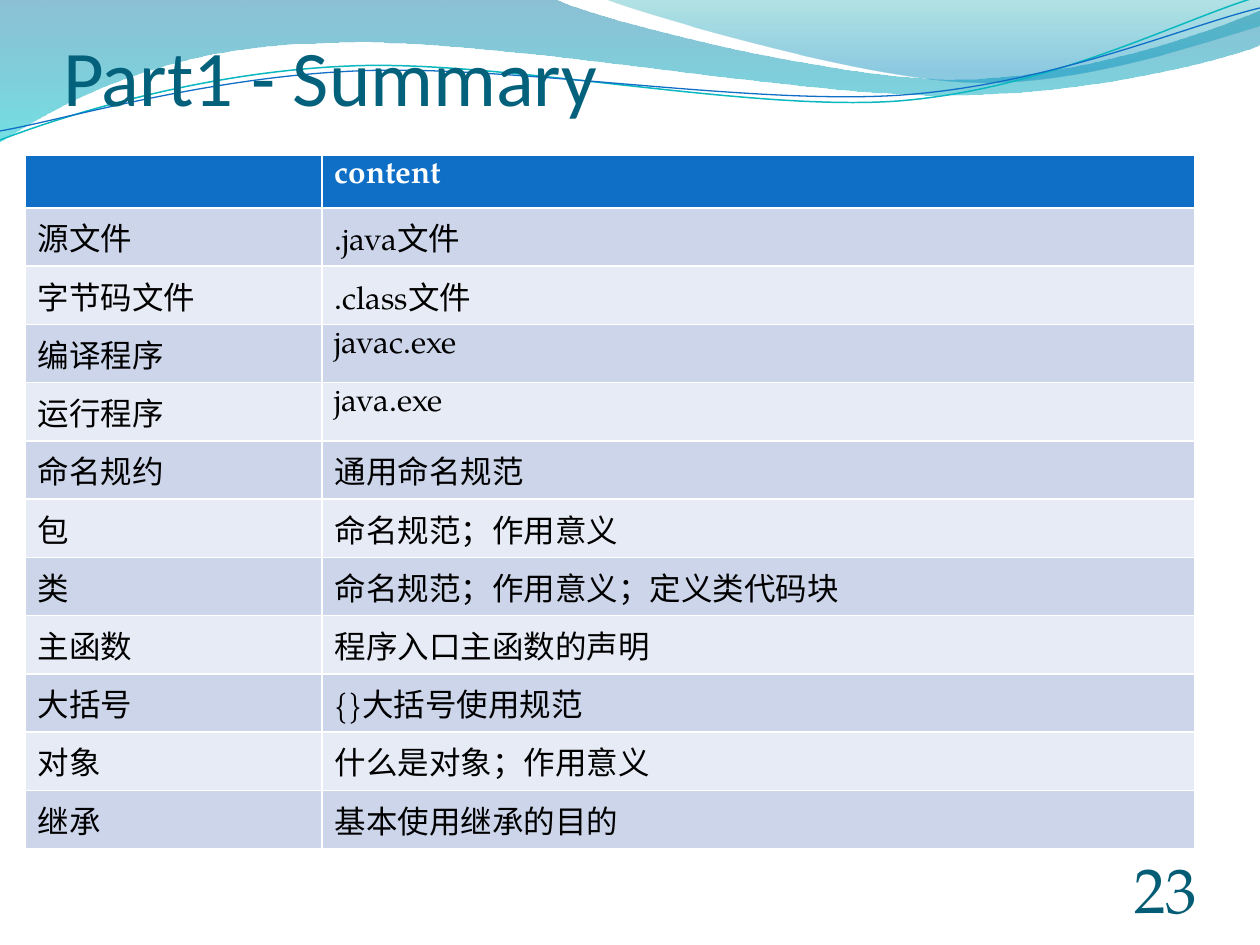
"""Build the Part1 summary slide: wave banner, title, two-column table and page number."""
from dataclasses import dataclass

from lxml.etree import SubElement
from pptx import Presentation
from pptx.dml.color import RGBColor as RGB
from pptx.enum.lang import MSO_LANGUAGE_ID as LANG
from pptx.enum.text import MSO_ANCHOR as ANCHOR, MSO_AUTO_SIZE as AUTO_SIZE, PP_ALIGN as ALIGN
from pptx.oxml.ns import qn
from pptx.util import Pt


@dataclass(frozen=True)
class Theme:
    title: str = "04617B"
    number: str = "045D75"
    header: str = "0F6FC6"
    bands: tuple = ("CCD5EA", "E7EBF5")
    white: str = "FFFFFF"
    black: str = "000000"
    title_font: str = "Calibri"
    body_font: str = "TeX Gyre Pagella"
    title_size: int = 45
    number_size: int = 36
    table_size: int = 18


theme = Theme()
EMU_PER_PX = 914400 / 126


def px(length):
    return round(length * EMU_PER_PX)


def trace(shapes, start, segments, closed):
    builder = shapes.build_freeform(px(start[0]), px(start[1]))
    corners = [(px(x), px(y)) for segment in segments for x, y in segment]
    builder.add_line_segments(corners, close=closed)
    wave = builder.convert_to_shape()
    wave.shadow.inherit = False
    outline = next(wave._element.iter(qn("a:path")))
    steps = iter(outline.findall(qn("a:lnTo")))
    for segment in segments:
        legs = [next(steps) for _ in segment]
        if len(legs) == 3:
            curve = outline.makeelement(qn("a:cubicBezTo"))
            legs[0].addprevious(curve)
            for leg in legs:
                curve.append(leg[0])
                outline.remove(leg)
    return wave


prs = Presentation()
prs.slide_width, prs.slide_height = px(1260), px(945)
slide = prs.slides.add_slide(prs.slide_layouts[5])
shapes = slide.shapes

bands = [
    ((0, 0), [
        [(554, -1)],
        [(600, 21), (837, 79), (955, 79)],
        [(1075, 79), (1207, 33), (1260, 11)],
        [(1261, 45)],
        [(1239, 55), (1096, 96), (940, 95)],
        [(784, 95), (481, 35), (324, 43)],
        [(163, 45), (58, 105), (-1, 142)],
        [(0, 0)],
    ], [(0, "0074A1", 45), (1, "00C6CF", 55)]),
    ((604, -1), [
        [(641, 14), (859, 78), (969, 82)],
        [(1078, 87), (1211, 40), (1260, 26)],
        [(1260, 0)],
        [(604, -1)],
    ], [(0, "00A1A9", 30), (0.8, "008BBF", 45)]),
]
for start, segments, stops in bands:
    band = trace(shapes, start, segments, True)
    band.line.fill.background()
    band.fill.gradient()
    band.fill.gradient_angle = 270
    for stop, (position, color, _) in zip(band.fill.gradient_stops, stops):
        stop.position = position
        stop.color.rgb = RGB.from_string(color)
    gradient = band._element.spPr.find(qn("a:gradFill"))
    for tint, (_, _, opacity) in zip(gradient.iter(qn("a:srgbClr")), stops):
        SubElement(tint, qn("a:alpha")).set("val", str(opacity * 1000))

strands = [
    ((0, 140), [
        [(60, 117), (199, 72), (349, 66)],
        [(498, 59), (747, 112), (898, 101)],
        [(1050, 89), (1182, 19), (1257, -3)],
    ], "0AB8BF", 0.85),
    ((0, 131), [
        [(59, 121), (207, 77), (357, 71)],
        [(508, 64), (752, 106), (903, 95)],
        [(1053, 84), (1185, 26), (1260, 8)],
    ], "0F6FC6", 0.75),
]
for start, segments, color, width in strands:
    strand = trace(shapes, start, segments, False)
    strand.fill.background()
    strand.line.color.rgb = RGB.from_string(color)
    strand.line.width = Pt(width)

title = shapes.title
shapes._spTree.append(title._element)
title.left, title.top, title.width, title.height = px(63), px(19), px(1134), px(103)
number = shapes.add_textbox(px(1092), px(876), px(105), px(50))
labels = [
    (title, "Part1 - Summary", ALIGN.LEFT, 6, theme.title_font, theme.title_size, theme.title),
    (number, "23", ALIGN.RIGHT, 0, theme.body_font, theme.number_size, theme.number),
]
for label, text, align, top_inset, font, size, color in labels:
    frame = label.text_frame
    frame.text = text
    frame.word_wrap = True
    frame.auto_size = AUTO_SIZE.NONE
    frame.vertical_anchor = ANCHOR.BOTTOM
    frame.margin_left = frame.margin_right = frame.margin_bottom = 0
    frame.margin_top = px(top_inset)
    paragraph = frame.paragraphs[0]
    paragraph.alignment = align
    run_font = paragraph.runs[0].font
    run_font.name, run_font.size = font, Pt(size)
    run_font.color.rgb = RGB.from_string(color)

summary = [
    ("", "content"),
    ("源文件", ".java文件"),
    ("字节码文件", ".class文件"),
    ("编译程序", "javac.exe"),
    ("运行程序", "java.exe"),
    ("命名规约", "通用命名规范"),
    ("包", "命名规范；作用意义"),
    ("类", "命名规范；作用意义；定义类代码块"),
    ("主函数", "程序入口主函数的声明"),
    ("大括号", "{}大括号使用规范"),
    ("对象", "什么是对象；作用意义"),
    ("继承", "基本使用继承的目的"),
]
column_widths = (297, 873)
row_height = 53
table = shapes.add_table(len(summary), len(column_widths), px(25), px(155),
                         px(sum(column_widths)), px(row_height * len(summary))).table
for column, width in zip(table.columns, column_widths):
    column.width = px(width)

for row, entries in enumerate(summary):
    is_header = row == 0
    fill = theme.header if is_header else theme.bands[(row - 1) % 2]
    for column, entry in enumerate(entries):
        cell = table.cell(row, column)
        cell.fill.solid()
        cell.fill.fore_color.rgb = RGB.from_string(fill)
        cell.text_frame.text = entry
        for run in cell.text_frame.paragraphs[0].runs:
            run.font.name, run.font.size = theme.body_font, Pt(theme.table_size)
            run.font.bold = is_header
            run.font.language_id = LANG.SIMPLIFIED_CHINESE
            run.font.color.rgb = RGB.from_string(theme.white if is_header else theme.black)

prs.save("out.pptx")
